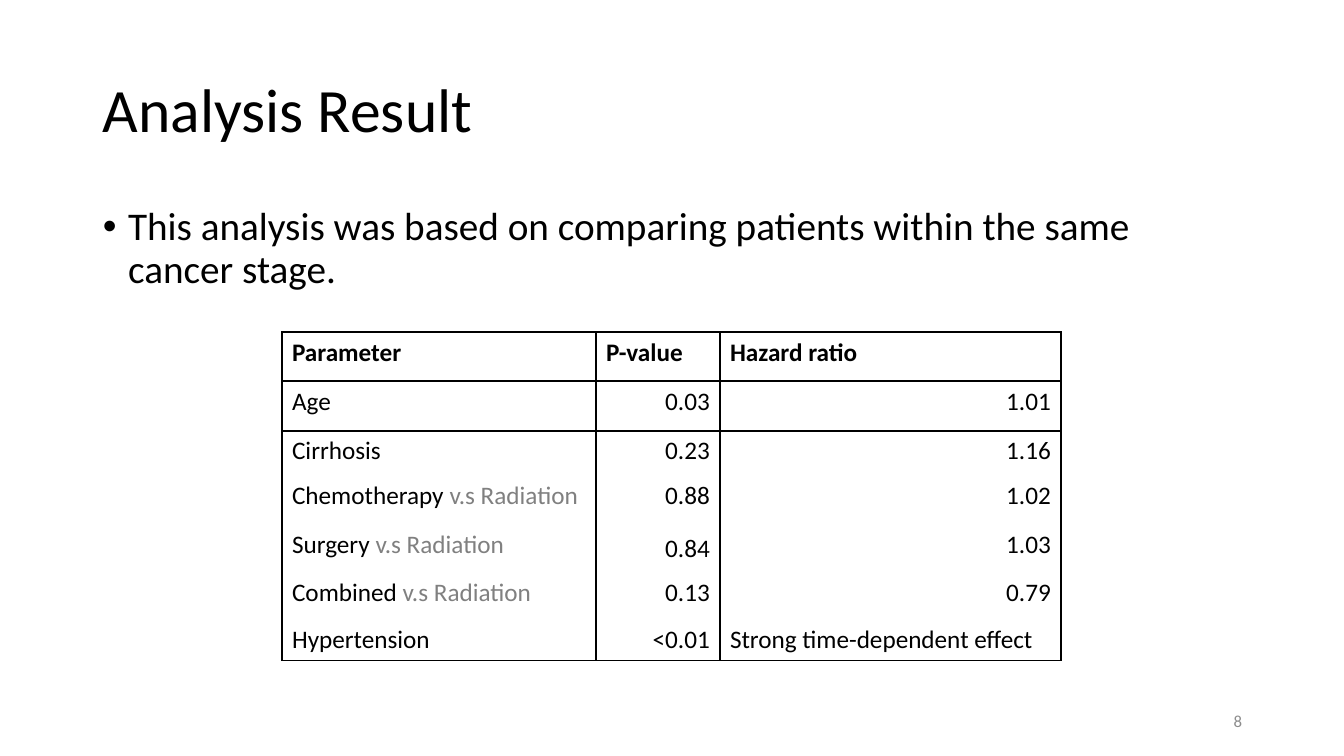
from lxml import etree
from pptx import Presentation
from pptx.dml.color import RGBColor
from pptx.enum.text import MSO_ANCHOR, PP_ALIGN
from pptx.oxml.ns import qn
from pptx.util import Emu, Pt

TOP, MIDDLE = MSO_ANCHOR.TOP, MSO_ANCHOR.MIDDLE
LEFT, RIGHT = PP_ALIGN.LEFT, PP_ALIGN.RIGHT
BLACK = RGBColor(0x00, 0x00, 0x00)
GRAY = RGBColor(0x80, 0x80, 0x80)
NUMBER_GRAY = RGBColor(0x8C, 0x8C, 0x8C)
FONT = "Calibri"
EMU_PER_PX = 914400 / 100.8

COLUMN_WIDTHS = [314, 124, 341]
ROW_HEIGHTS = [49, 50, 45, 49, 48, 47, 40]
BASELINE = "v.s Radiation"
RESULTS = [
    (["Parameter"], "P-value", "Hazard ratio"),
    (["Age"], "0.03", "1.01"),
    (["Cirrhosis"], "0.23", "1.16"),
    (["Chemotherapy ", BASELINE], "0.88", "1.02"),
    (["Surgery ", BASELINE], "0.84", "1.03"),
    (["Combined ", BASELINE], "0.13", "0.79"),
    (["Hypertension"], "<0.01", "Strong time-dependent effect"),
]
RULED_EDGES = {0, 1, 2, len(RESULTS)}


def px(length):
    """Turn a length in px into EMU."""
    return Emu(round(length * EMU_PER_PX))


def write(frame, *parts, size, color=BLACK, bold=False, align=LEFT,
          anchor=TOP, spacing=None, before=0):
    """Write the parts as runs of one paragraph; the baseline part is gray."""
    frame.word_wrap = True
    frame.vertical_anchor = anchor
    paragraph = frame.paragraphs[0]
    paragraph.alignment = align
    paragraph.line_spacing = spacing
    paragraph.space_before = Pt(before)
    for part in parts:
        run = paragraph.add_run()
        run.text = part
        run.font.name = FONT
        run.font.size = Pt(size)
        run.font.bold = bold
        run.font.color.rgb = GRAY if part == BASELINE else color
    return paragraph


def add_frame(slide, box):
    """Add a text box and return its text frame."""
    return slide.shapes.add_textbox(*map(px, box)).text_frame


def add_title(slide, box):
    """Place the slide title."""
    write(add_frame(slide, box), "Analysis Result", size=44,
          anchor=MIDDLE, spacing=0.9)


def add_statement(slide, box):
    """Place the bulleted statement."""
    statement = write(
        add_frame(slide, box),
        "This analysis was based on comparing patients within the same cancer stage.",
        size=28, spacing=0.9, before=10)
    properties = statement._p.get_or_add_pPr()
    properties.set("marL", "228600")
    properties.set("indent", "-228600")
    etree.SubElement(properties, qn("a:buFont"), typeface="Arial")
    etree.SubElement(properties, qn("a:buChar"), char="•")


def set_borders(cell, row):
    """Rule the sides of a cell, and its top and bottom where the row needs it."""
    ruled = {"L": True, "R": True, "T": row in RULED_EDGES, "B": row + 1 in RULED_EDGES}
    properties = cell._tc.get_or_add_tcPr()
    for position, (side, visible) in enumerate(ruled.items()):
        line = etree.Element(qn(f"a:ln{side}"), w=str(Pt(1)))
        if visible:
            fill = etree.SubElement(line, qn("a:solidFill"))
            etree.SubElement(fill, qn("a:srgbClr"), val=str(BLACK))
        else:
            etree.SubElement(line, qn("a:noFill"))
        properties.insert(position, line)


def add_results(slide, left, top):
    """Place the table of p-values and hazard ratios."""
    table = slide.shapes.add_table(
        len(RESULTS), len(COLUMN_WIDTHS), px(left), px(top),
        px(sum(COLUMN_WIDTHS)), px(sum(ROW_HEIGHTS))).table
    table.first_row = table.horz_banding = False
    for column, width in zip(table.columns, COLUMN_WIDTHS):
        column.width = px(width)
    for row, height in enumerate(ROW_HEIGHTS):
        table.rows[row].height = px(height)
        parameter, p_value, ratio = RESULTS[row]
        for column, parts in enumerate((parameter, [p_value], [ratio])):
            cell = table.cell(row, column)
            numeric = parts[0][-1].isdigit()
            write(cell.text_frame, *parts, size=18, bold=row == 0,
                  align=RIGHT if numeric else LEFT)
            cell.vertical_anchor = MIDDLE if parts == ["0.84"] else TOP
            cell.fill.background()
            set_borders(cell, row)


def add_page_number(slide, box):
    """Place the page number."""
    write(add_frame(slide, box), "8", size=12, color=NUMBER_GRAY,
          align=RIGHT, anchor=MIDDLE)


def main():
    """Build the slide and save it."""
    deck = Presentation()
    deck.slide_width, deck.slide_height = px(1344), px(756)
    slide = deck.slides.add_slide(deck.slide_layouts[6])
    add_title(slide, (93, 40, 1159, 146))
    add_results(slide, 282, 332)
    add_statement(slide, (93, 202, 1141, 480))
    add_page_number(slide, (950, 701, 302, 40))
    deck.save("out.pptx")


if __name__ == "__main__":
    main()
